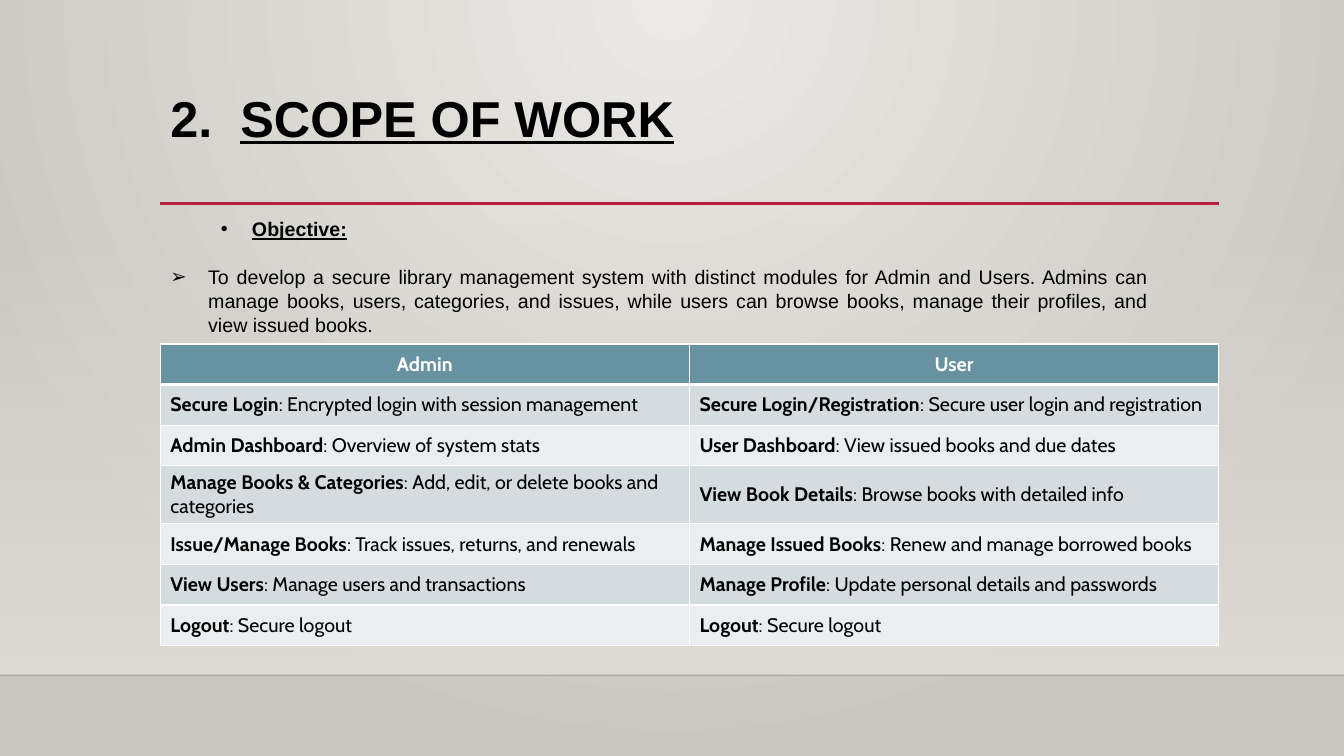
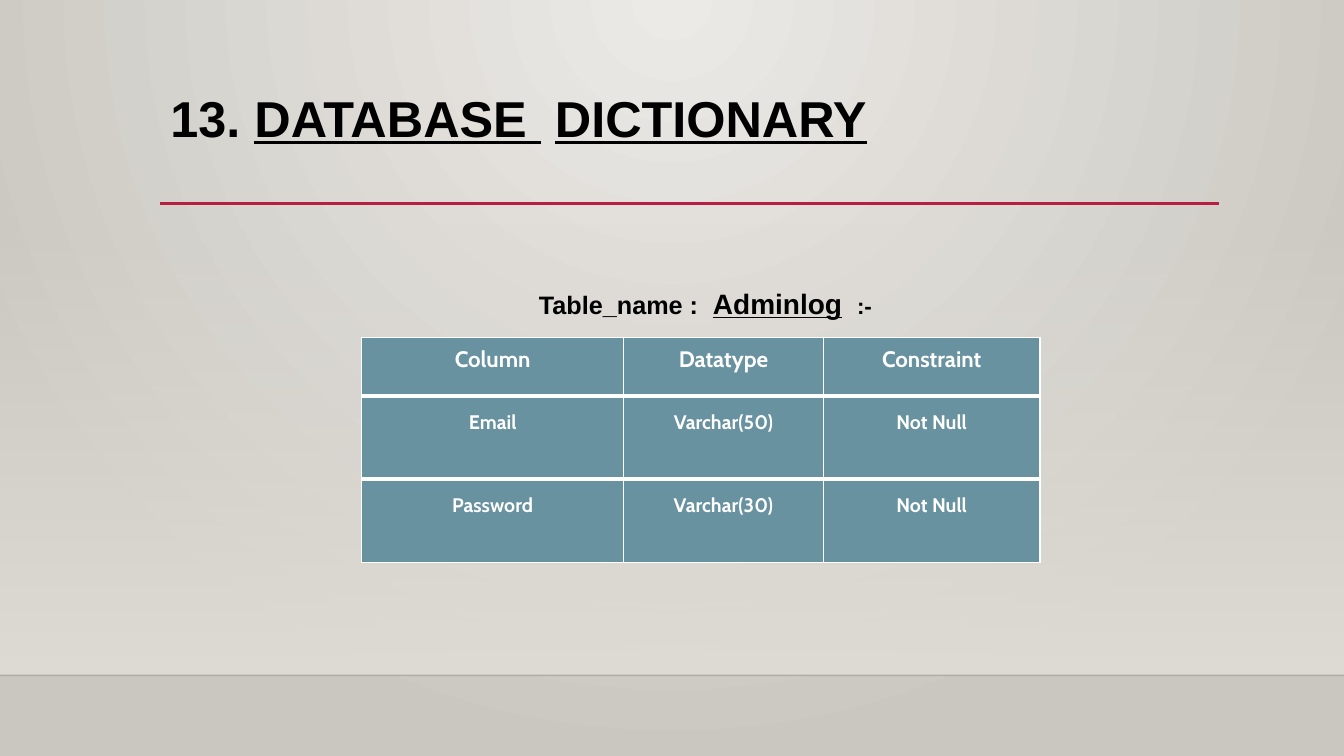
from pptx import Presentation
from pptx.dml.color import RGBColor
from pptx.enum.shapes import MSO_CONNECTOR as Connector, MSO_SHAPE as Shape
from pptx.enum.text import MSO_ANCHOR as Anchor, MSO_AUTO_SIZE as AutoSize, PP_ALIGN as Align
from pptx.oxml import parse_xml
from pptx.oxml.ns import nsdecls, qn
from pptx.util import Pt
from lxml import etree

COLORS = {
    "glow": "ECEAE7", "edge": "CAC7C1", "wall": "DFDBD5", "floor": "000001",
    "accent": "B71E42", "ink": "000000", "white": "FFFFFF",
    "head": "6892A0", "dark_row": "D4DCDF", "light_row": "EBEEF0",
}
WIDTH, HEIGHT = 960, 540
LEFT, CONTENT_WIDTH = 114.5, 756
FLOOR_Y = 482.4


def rgb(name):
    return RGBColor.from_string(COLORS[name])


class Deck:
    """Holds the shared style and the slide being built."""

    def __init__(self):
        self.deck = Presentation()
        self.deck.slide_width, self.deck.slide_height = Pt(WIDTH), Pt(HEIGHT)
        self.slide = None
        self.set_background()

    def set_background(self):
        canvas = self.deck.slide_master.element.cSld
        for old in canvas.findall(qn("p:bg")):
            canvas.remove(old)
        stops = "".join(
            f'<a:gs pos="{pos}"><a:srgbClr val="{COLORS[name]}"/></a:gs>'
            for pos, name in ((0, "glow"), (100000, "edge")))
        canvas.insert(0, parse_xml(
            f'<p:bg {nsdecls("p", "a")}><p:bgPr><a:gradFill rotWithShape="1">'
            f'<a:gsLst>{stops}</a:gsLst><a:path path="circle">'
            '<a:fillToRect l="43000" t="0" r="43000" b="100000"/></a:path>'
            '</a:gradFill><a:effectLst/></p:bgPr></p:bg>'))

    # Shared frame: wall, floor line, title rule
    def new_slide(self, title):
        self.slide = self.deck.slides.add_slide(self.deck.slide_layouts[1])
        self.wall()
        self.line(0, WIDTH, FLOOR_Y, "floor", 1, opacity=20)
        self.line(LEFT, LEFT + CONTENT_WIDTH, 145.5, "accent", 2.5)
        for placeholder in list(self.slide.placeholders):
            self.slide.shapes.element.append(placeholder.element)
        heading = self.place(self.slide.shapes.title, LEFT, 63.4, CONTENT_WIDTH, 82.8)
        self.paragraph(heading.paragraphs[0], title, line_spacing=0.9,
                       size=36, bold=True)

    def wall(self):
        wall = self.slide.shapes.add_shape(
            Shape.RECTANGLE, 0, Pt(159), Pt(WIDTH), Pt(FLOOR_Y - 159))
        wall.shadow.inherit = False
        wall.line.fill.background()
        wall.fill.gradient()
        wall.fill.gradient_angle = 270
        for stop, position in zip(wall.fill.gradient_stops, (0, 1)):
            stop.color.rgb, stop.position = rgb("wall"), position
        self.set_opacity(wall.element.xpath(".//a:gs/a:srgbClr")[0], 0)

    def line(self, start, end, y, color, width, opacity=100):
        line = self.slide.shapes.add_connector(
            Connector.STRAIGHT, Pt(start), Pt(y), Pt(end), Pt(y))
        line.line.width = Pt(width)
        line.line.color.rgb = rgb(color)
        if opacity < 100:
            self.set_opacity(line.element.xpath(".//a:ln//a:srgbClr")[0], opacity)
        etree.SubElement(line.element.spPr, qn("a:effectLst"))

    @staticmethod
    def set_opacity(color, percent):
        etree.SubElement(color, qn("a:alpha")).set("val", str(percent * 1000))

    # Text
    @staticmethod
    def place(holder, left, top, width, height):
        holder.left, holder.top = Pt(left), Pt(top)
        holder.width, holder.height = Pt(width), Pt(height)
        frame = holder.text_frame
        frame.word_wrap, frame.auto_size = True, AutoSize.NONE
        frame.vertical_anchor = Anchor.TOP
        return frame

    @staticmethod
    def paragraph(paragraph, runs, bullet=None, margin=0, hang=0, before=0,
                  align=Align.LEFT, line_spacing=1.0, color="ink", **font):
        """Each run is (text, format); format overrides the paragraph font."""
        layout = {"alignment": align, "line_spacing": line_spacing,
                  "space_before": Pt(before), "space_after": Pt(0)}
        for name, value in layout.items():
            setattr(paragraph, name, value)
        props = paragraph._p.get_or_add_pPr()
        props.set("marL", str(Pt(margin)))
        props.set("indent", str(Pt(-hang)))
        if bullet:
            etree.SubElement(props, qn("a:buFont")).set("typeface", "Arial")
            etree.SubElement(props, qn("a:buChar")).set("char", bullet)
        else:
            etree.SubElement(props, qn("a:buNone"))
        for text, changes in runs:
            run = paragraph.add_run()
            run.text = text
            look = {"name": "Arial", **font, **changes}
            gap = look.pop("gap", None)
            look["size"] = Pt(look["size"])
            for name, value in look.items():
                setattr(run.font, name, value)
            run.font.color.rgb = rgb(color)
            if gap:
                run.font._element.set("spc", str(gap * 100))

    def body(self, box, items):
        frame = self.place(self.slide.placeholders[1], *box)
        for index, (runs, style) in enumerate(items):
            line = frame.add_paragraph() if index else frame.paragraphs[0]
            self.paragraph(line, runs, **style)

    # Tables
    def table(self, left, top, columns, heights, rows, fills, rules, style):
        """rules lists the widths of the horizontal lines, top to bottom."""
        grid = self.slide.shapes.add_table(
            len(rows), len(columns), Pt(left), Pt(top),
            Pt(sum(columns)), Pt(sum(heights))).table
        for column, width in zip(grid.columns, columns):
            column.width = Pt(width)
        for r, (row, height) in enumerate(zip(rows, heights)):
            grid.rows[r].height = Pt(height)
            for c, runs in enumerate(row):
                cell = grid.cell(r, c)
                cell.fill.solid()
                cell.fill.fore_color.rgb = rgb(fills[r])
                self.borders(cell, {"L": 1, "R": 1, "T": rules[r], "B": rules[r + 1]})
                look = dict(style(r))
                cell.vertical_anchor = look.pop("anchor")
                cell.margin_top = Pt(look.pop("inset"))
                self.paragraph(cell.text_frame.paragraphs[0], runs,
                               name="Cabin", **look)

    @staticmethod
    def borders(cell, widths):
        props = cell._tc.get_or_add_tcPr()
        for index, (side, width) in enumerate(widths.items()):
            props.insert(index, parse_xml(
                f'<a:ln{side} {nsdecls("a")} w="{Pt(width)}"><a:solidFill>'
                f'<a:srgbClr val="{COLORS["white"]}"/></a:solidFill></a:ln{side}>'))


def scope_style(row):
    if row == 0:
        return {"anchor": Anchor.MIDDLE, "inset": 3.6, "align": Align.CENTER,
                "color": "white", "size": 14, "bold": True}
    return {"anchor": Anchor.MIDDLE, "inset": 3.6, "size": 14}


def dictionary_style(row):
    size, pitch = (14, 13.6) if row else (16, 12.9)
    return {"anchor": Anchor.TOP, "inset": pitch, "align": Align.CENTER,
            "line_spacing": Pt(pitch), "color": "white", "size": size, "bold": True}


def scope_slide(deck):
    deck.new_slide([("2.", {}), (" ", {"gap": 10}),
                    ("SCOPE OF WORK", {"underline": True})])
    deck.body((LEFT, 151.5, 713, 92), [
        ([("Objective:", {"bold": True, "underline": True})],
         {"bullet": "•", "margin": 58.3, "hang": 22.3, "size": 14}),
        ([("To develop a secure library management system with distinct modules "
           "for Admin and Users. Admins can manage books, users, categories, and "
           "issues, while users can browse books, manage their profiles, and view "
           "issued books.", {})],
         {"bullet": "➢", "margin": 27, "hang": 27, "before": 17,
          "align": Align.JUSTIFY, "line_spacing": 1.02, "size": 14}),
    ])
    features = [
        (("Secure Login", "Encrypted login with session management"),
         ("Secure Login/Registration", "Secure user login and registration")),
        (("Admin Dashboard", "Overview of system stats"),
         ("User Dashboard", "View issued books and due dates")),
        (("Manage Books & Categories", "Add, edit, or delete books and categories"),
         ("View Book Details", "Browse books with detailed info")),
        (("Issue/Manage Books", "Track issues, returns, and renewals"),
         ("Manage Issued Books", "Renew and manage borrowed books")),
        (("View Users", "Manage users and transactions"),
         ("Manage Profile", "Update personal details and passwords")),
        (("Logout", "Secure logout"), ("Logout", "Secure logout")),
    ]
    rows = [[[("Admin", {})], [("User", {})]]]
    rows += [[[(name, {"bold": True}), (f": {detail}", {"bold": False})]
              for name, detail in pair] for pair in features]
    deck.table(LEFT, 245.7, [CONTENT_WIDTH / 2] * 2, [29] * 3 + [41.4] + [29] * 3,
               rows, ["head"] + ["dark_row", "light_row"] * 3, [1, 3] + [1] * 6,
               scope_style)


def dictionary_slide(deck):
    deck.new_slide([("13. ", {}), ("DATABASE", {"underline": True}),
                    (" ", {"underline": True, "gap": 10}),
                    ("DICTIONARY", {"underline": True})])
    deck.body((LEFT, 201, CONTENT_WIDTH, 36), [
        ([("Table_name :", {"size": 18}), (" ", {"gap": 5}),
          ("Adminlog", {"underline": True}), (" ", {"gap": 5}),
          (":-", {"size": 16})],
         {"margin": 263.3, "size": 20, "bold": True}),
    ])
    fields = [
        ("Column", "Datatype", "Constraint"),
        ("Email", "Varchar(50)", "Not Null"),
        ("Password", "Varchar(30)", "Not Null"),
    ]
    deck.table(258.3, 241, [187.2, 142.6, 154.8], [42, 59.3, 59.3],
               [[[(text, {})] for text in row] for row in fields],
               ["head"] * 3, [1, 3, 3, 1], dictionary_style)


def main():
    deck = Deck()
    scope_slide(deck)
    dictionary_slide(deck)
    deck.deck.save("out.pptx")


if __name__ == "__main__":
    main()
